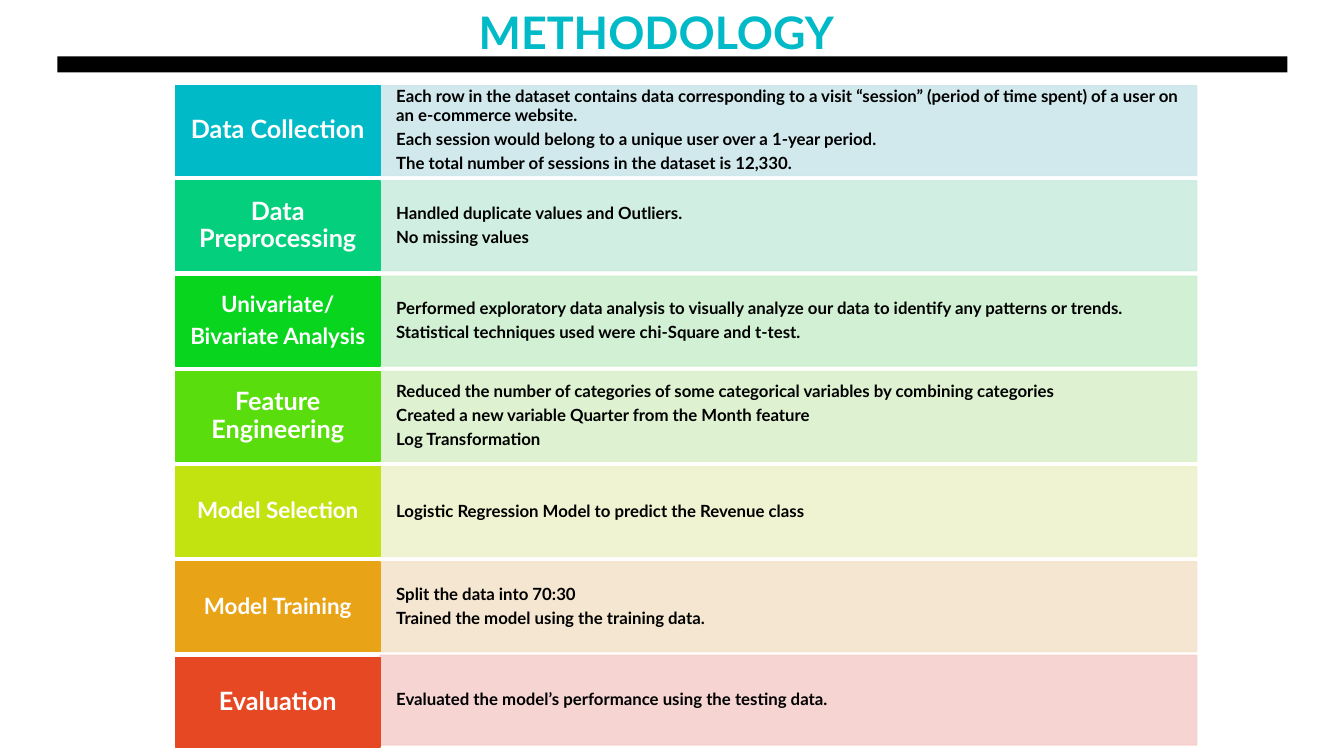
"""Build the methodology slide: seven project stages with their details."""
from dataclasses import dataclass

from lxml.etree import SubElement
from pptx import Presentation
from pptx.dml.color import RGBColor
from pptx.enum.shapes import MSO_SHAPE
from pptx.enum.text import MSO_ANCHOR, PP_ALIGN
from pptx.oxml.ns import qn
from pptx.shapes.autoshape import Shape
from pptx.slide import Slide
from pptx.text.text import TextFrame
from pptx.util import Inches, Pt

FONT = "Lato"
TEAL = RGBColor(0x00, 0xBA, 0xC8)
BLACK = RGBColor(0x00, 0x00, 0x00)
WHITE = RGBColor(0xFF, 0xFF, 0xFF)
GREEN = RGBColor(0x04, 0xCF, 0x7C)
BRIGHT_GREEN = RGBColor(0x08, 0xD6, 0x1E)
LIME = RGBColor(0x59, 0xDD, 0x0C)
YELLOW = RGBColor(0xC3, 0xE3, 0x11)
ORANGE = RGBColor(0xE9, 0xA3, 0x16)
RED = RGBColor(0xE6, 0x48, 0x23)
PALE_TEAL = RGBColor(0xCC, 0xE7, 0xEB)
PALE_GREEN = RGBColor(0xCC, 0xED, 0xE1)
PALE_BRIGHT_GREEN = RGBColor(0xCC, 0xEF, 0xD0)
PALE_LIME = RGBColor(0xDB, 0xF1, 0xCC)
PALE_YELLOW = RGBColor(0xEF, 0xF2, 0xCD)
PALE_ORANGE = RGBColor(0xF4, 0xE4, 0xCD)
PALE_RED = RGBColor(0xF5, 0xD0, 0xCD)

STAGE_LEFT, STAGE_WIDTH = 1.74, 2.03
DETAIL_LEFT, DETAIL_WIDTH = STAGE_LEFT + STAGE_WIDTH, 8.1
FIRST_TOP, LAST_TOP, ROW_HEIGHT = 0.85, 6.52, 0.89
DETAIL_SIZE = 12
DETAIL_OPACITY = 90


@dataclass(frozen=True)
class Stage:
    name: str
    details: str
    color: RGBColor
    pale: RGBColor
    size: int = 18
    detail_lift: float = 0


STAGES = [
    Stage("Data Collection",
          "Each row in the dataset contains data corresponding to a visit “session” "
          "(period of time spent) of a user on an e-commerce website.\n"
          "Each session would belong to a unique user over a 1-year period.\n"
          "The total number of sessions in the dataset is 12,330.",
          TEAL, PALE_TEAL),
    Stage("Data Preprocessing",
          "Handled duplicate values and Outliers.\nNo missing values",
          GREEN, PALE_GREEN),
    Stage("Univariate/\nBivariate Analysis",
          "Performed exploratory data analysis to visually analyze our data "
          "to identify any patterns or trends.\n"
          "Statistical techniques used were chi-Square and t-test.",
          BRIGHT_GREEN, PALE_BRIGHT_GREEN, size=16),
    Stage("Feature Engineering",
          "Reduced the number of categories of some categorical variables "
          "by combining categories\n"
          "Created a new variable Quarter from the Month feature\n"
          "Log Transformation",
          LIME, PALE_LIME),
    Stage("Model Selection",
          "Logistic Regression Model to predict the Revenue class",
          YELLOW, PALE_YELLOW, size=16),
    Stage("Model Training",
          "Split the data into 70:30\nTrained the model using the training data.",
          ORANGE, PALE_ORANGE, size=16),
    Stage("Evaluation",
          "Evaluated the model’s performance using the testing data.",
          RED, PALE_RED, detail_lift=0.02),
]


def format_runs(frame: TextFrame, size: int, color: RGBColor) -> None:
    """Apply the slide font in bold to every run."""
    for paragraph in frame.paragraphs:
        for run in paragraph.runs:
            run.font.name = FONT
            run.font.size = Pt(size)
            run.font.bold = True
            run.font.color.rgb = color


def add_box(slide: Slide, left: float, top: float, width: float, height: float,
            color: RGBColor, opacity: int = 100) -> Shape:
    """Add a rectangle whose fill and outline share one colour."""
    box = slide.shapes.add_shape(MSO_SHAPE.RECTANGLE, Inches(left), Inches(top),
                                 Inches(width), Inches(height))
    box.shadow.inherit = False
    box.fill.solid()
    box.fill.fore_color.rgb = color
    box.line.color.rgb = color
    box.line.width = Pt(1)
    if opacity < 100:
        for tint in box.element.spPr.iter(qn("a:srgbClr")):
            SubElement(tint, qn("a:alpha"), val=str(opacity * 1000))
    return box


def write_text(box: Shape, text: str, size: int, color: RGBColor, align: PP_ALIGN,
               side_inset: float, end_inset: float) -> None:
    """Fill a box with vertically centred, evenly spaced paragraphs."""
    frame = box.text_frame
    frame.text = text
    frame.word_wrap = True
    frame.vertical_anchor = MSO_ANCHOR.MIDDLE
    frame.margin_left = frame.margin_right = Inches(side_inset)
    frame.margin_top = frame.margin_bottom = Inches(end_inset)
    for paragraph in frame.paragraphs:
        paragraph.alignment = align
        paragraph.line_spacing = 0.9
        paragraph.space_after = Pt(0.35 * size)
    format_runs(frame, size, color)


def add_heading(slide: Slide) -> None:
    """Add the slide title and the bar beneath it."""
    heading = slide.shapes.add_textbox(Inches(4.65), Inches(0), Inches(4.77), Inches(0.85))
    heading.text_frame.word_wrap = True
    heading.text_frame.text = "METHODOLOGY"
    heading.text_frame.paragraphs[0].space_after = Pt(6)
    format_runs(heading.text_frame, 32, TEAL)
    rule = add_box(slide, 0.57, 0.56, 12.2, 0.16, BLACK)
    rule.line.fill.background()


def add_stage(slide: Slide, stage: Stage, top: float) -> None:
    """Add one row: the details panel and the stage name."""
    panel = add_box(slide, DETAIL_LEFT, top - stage.detail_lift, DETAIL_WIDTH,
                    ROW_HEIGHT, stage.pale, DETAIL_OPACITY)
    write_text(panel, stage.details, DETAIL_SIZE, BLACK, PP_ALIGN.LEFT, 0.16, 0.23)
    label = add_box(slide, STAGE_LEFT, top, STAGE_WIDTH, ROW_HEIGHT, stage.color)
    write_text(label, stage.name, stage.size, WHITE, PP_ALIGN.CENTER, 0.11, 0.09)


def main() -> None:
    """Create and save the presentation."""
    deck = Presentation()
    deck.slide_width, deck.slide_height = Inches(13.33), Inches(7.5)
    slide = deck.slides.add_slide(deck.slide_layouts[6])
    add_heading(slide)
    pitch = (LAST_TOP - FIRST_TOP) / (len(STAGES) - 1)
    for row, stage in enumerate(STAGES):
        add_stage(slide, stage, FIRST_TOP + row * pitch)
    deck.save("out.pptx")


if __name__ == "__main__":
    main()
